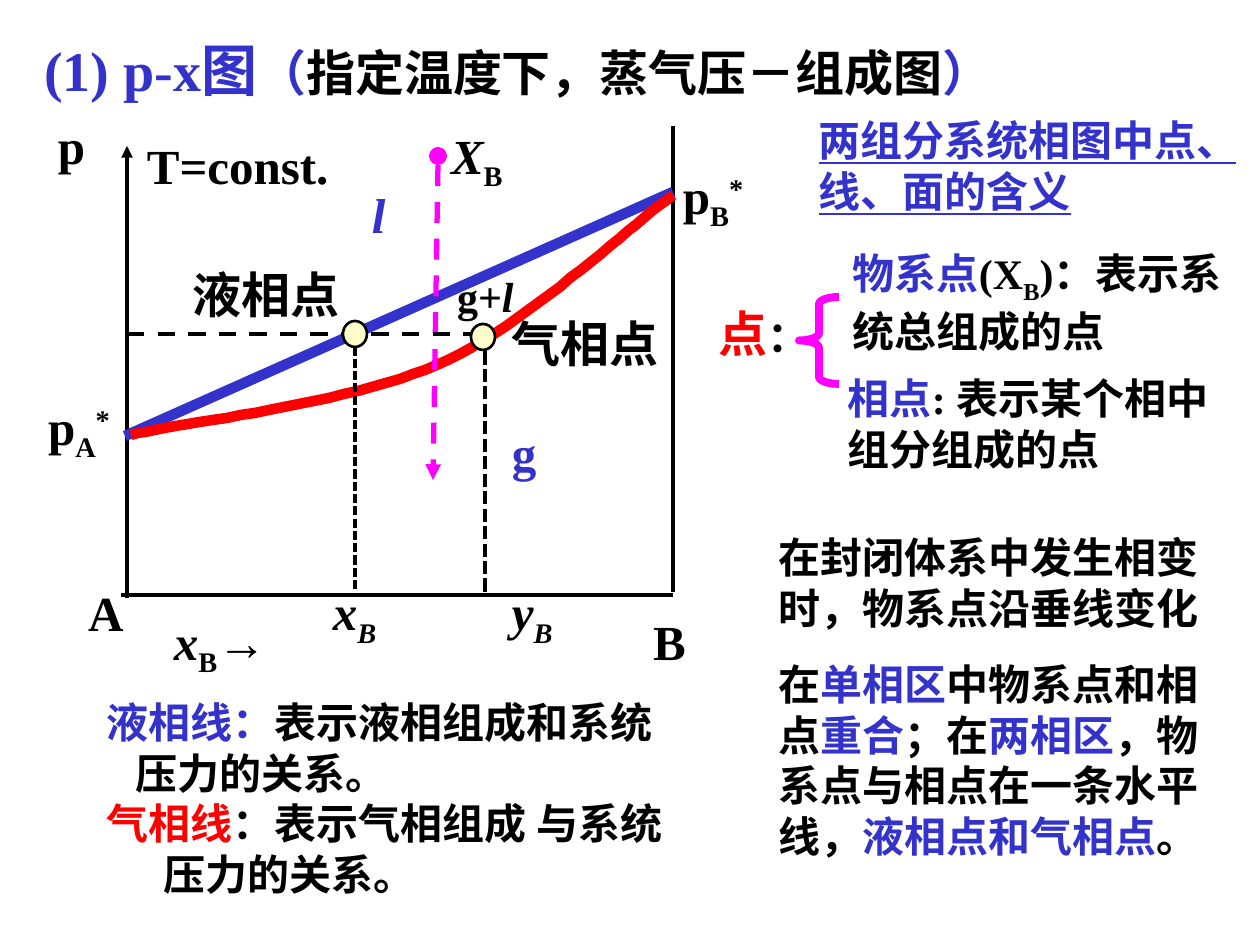
from dataclasses import dataclass

from lxml.etree import SubElement
from pptx import Presentation
from pptx.dml.color import RGBColor
from pptx.enum.dml import MSO_LINE as Dash
from pptx.enum.shapes import MSO_CONNECTOR as Connector, MSO_SHAPE as Preset
from pptx.oxml.ns import qn
from pptx.util import Pt

EMU_PER_PX = 914400 / 126


@dataclass(frozen=True)
class Theme:
    font: str = "Times New Roman"
    black: str = "000000"
    blue: str = "3333CC"
    red: str = "FF0000"
    magenta: str = "FF00FF"
    cream: str = "FFFFCC"
    title: int = 32
    label: int = 28
    body: int = 24


THEME = Theme()


@dataclass(frozen=True)
class Span:
    text: str
    color: str = THEME.black
    size: int = 0
    italic: bool = False
    underline: bool = False
    baseline: int = 0


def px(length):
    return round(length * EMU_PER_PX)


def rgb(color):
    return RGBColor.from_string(color)


def sub(text, italic=False):
    return Span(text, italic=italic, baseline=-25000)


def star():
    return Span("*", baseline=30000)


def blue(text, **style):
    return Span(text, THEME.blue, **style)


def add_spans(para, spans, size):
    for item in spans:
        span = para.add_run()
        span.text = item.text
        font = span.font
        font.name = THEME.font
        font.size = Pt(item.size or size)
        font.bold = True
        font.italic = item.italic
        font.underline = item.underline
        font.color.rgb = rgb(item.color)
        if item.baseline:
            span._r.get_or_add_rPr().set("baseline", str(item.baseline))


def add_text(page, area, *paragraphs, size=THEME.label, gap=0, indents=()):
    """Add a box whose paragraphs are lists of spans; indents are left margins in px."""
    box = page.shapes.add_textbox(*map(px, area))
    frame = box.text_frame
    frame.word_wrap = True
    frame.margin_left = frame.margin_right = frame.margin_top = frame.margin_bottom = 0
    for index, spans in enumerate(paragraphs):
        para = frame.add_paragraph() if index else frame.paragraphs[0]
        if index and gap:
            para.space_before = Pt(gap)
        if indents and indents[index]:
            para._p.get_or_add_pPr().set("marL", str(px(indents[index])))
        add_spans(para, spans, size)


def style_line(line, color, width, dash=None):
    line.color.rgb = rgb(color)
    line.width = Pt(width)
    if dash:
        line.dash_style = dash


def add_line(page, start, end, color=THEME.black, width=2.25, dash=None, arrow=False):
    line = page.shapes.add_connector(Connector.STRAIGHT, *map(px, start + end))
    style_line(line.line, color, width, dash)
    properties = line._element.spPr
    if arrow:
        SubElement(properties.find(qn("a:ln")), qn("a:tailEnd"), type="triangle")
    SubElement(properties, qn("a:effectLst"))


def add_curve(page, points, color, width=6):
    builder = page.shapes.build_freeform(*points[0], scale=EMU_PER_PX)
    builder.add_line_segments(points[1:], close=False)
    curve = builder.convert_to_shape()
    curve.shadow.inherit = False
    curve.fill.background()
    style_line(curve.line, color, width)


def bezier(p0, p1, p2, p3, steps=24):
    """Return points along a cubic curve, leaving out its start."""
    points = []
    for step in range(1, steps + 1):
        t = step / steps
        weights = ((1 - t) ** 3, 3 * t * (1 - t) ** 2, 3 * t * t * (1 - t), t ** 3)
        points.append(tuple(sum(w * p[axis] for w, p in zip(weights, (p0, p1, p2, p3)))
                            for axis in (0, 1)))
    return points


def add_preset(page, preset, area, color, width, fill=None):
    shape = page.shapes.add_shape(preset, *map(px, area))
    shape.shadow.inherit = False
    if fill:
        shape.fill.solid()
        shape.fill.fore_color.rgb = rgb(fill)
    else:
        shape.fill.background()
    style_line(shape.line, color, width)
    return shape


def add_diagram(page):
    left, right, bottom, tie = 127, 673, 595, 334
    add_line(page, (121, bottom), (right, bottom))
    add_line(page, (left, 598), (left, 146), arrow=True)
    add_line(page, (right, 592), (right, 126))

    add_curve(page, [(125, 436), (right, 192)], THEME.blue)
    start, middle, end = (131, 435), (437, 365), (right, 195)
    gas_curve = [start, *bezier(start, (183, 423), (346, 404), middle),
                 *bezier(middle, (527, 325), (624, 231), end)]
    add_curve(page, gas_curve, THEME.red)

    add_line(page, (438, 165), (433, 480), THEME.magenta, 3, Dash.DASH, arrow=True)
    add_line(page, (left, tie), (494, tie), width=2.5, dash=Dash.DASH)
    for x, width in ((355, 1.75), (485, 2.5)):
        add_line(page, (x, tie), (x, 592), width=width, dash=Dash.SQUARE_DOT)
    for x, y in ((343, 321), (471, 324)):
        add_preset(page, Preset.OVAL, (x, y, 24, 26), THEME.black, 1.5, THEME.cream)
    add_preset(page, Preset.OVAL, (433, 151, 10, 10), THEME.magenta, 4.5, THEME.magenta)


def add_diagram_labels(page):
    labels = [
        ((683, 165, 126, 67), [Span("p"), sub("B"), star()]),
        ((48, 396, 106, 67), [Span("p"), sub("A"), star()]),
        ((174, 611, 139, 67), [Span("x", italic=True), sub("B"), Span("→")]),
        ((58, 116, 69, 59), [Span("p")]),
        ((88, 583, 82, 59), [Span("A")]),
        ((653, 612, 82, 59), [Span("B")]),
        ((147, 136, 258, 59), [Span("T=const.")]),
        ((372, 185, 42, 59), [blue("l", italic=True)]),
        ((512, 423, 53, 59), [blue("g")]),
        ((457, 271, 135, 53), [Span("g+", size=THEME.body),
                               Span("l", size=THEME.body, italic=True)]),
        ((512, 314, 165, 59), [Span("气相点")]),
        ((193, 265, 176, 59), [Span("液相点")]),
        ((333, 582, 63, 67), [Span("x", italic=True), sub("B", italic=True)]),
        ((512, 582, 63, 67), [Span("y", italic=True), sub("B", italic=True)]),
        ((451, 125, 79, 67), [Span("X", italic=True), sub("B")]),
    ]
    for area, spans in labels:
        add_text(page, area, spans)


def add_explanations(page):
    body = THEME.body
    add_text(page, (107, 697, 640, 202),
             [blue("液相线："), Span("表示液相组成和系统")],
             [Span("压力的关系。")],
             [Span("气相线", THEME.red), Span("：表示气相组成 与系统")],
             [Span("压力的关系。")],
             size=body, indents=(0, 29, 0, 57))
    add_text(page, (819, 115, 417, 101),
             [blue("两组分系统相图中点、线、面的含义", underline=True)], size=body)
    add_text(page, (719, 304, 72, 59),
             [Span("点", THEME.red), Span("：", size=body)])
    brace = add_preset(page, Preset.LEFT_BRACE, (799, 297, 40, 87), THEME.magenta, 4.5)
    brace.adjustments[0] = 0.18
    add_text(page, (853, 248, 407, 108),
             [blue("物系点"), Span("(X"), sub("B"), Span(")：表示系统总组成的点")], size=body)
    add_text(page, (848, 373, 376, 101),
             [blue("相点"), Span(": 表示某个相中组分组成的点")], size=body)
    add_text(page, (779, 532, 451, 329),
             [Span("在封闭体系中发生相变时，物系点沿垂线变化")],
             [Span("在"), blue("单相区"), Span("中物系点和相点"), blue("重合"),
              Span("；在"), blue("两相区"), Span("，物系点与相点在一条水平线，"),
              blue("液相点和气相点"), Span("。")],
             size=body, gap=15)


def main():
    deck = Presentation()
    deck.slide_width, deck.slide_height = px(1260), px(945)
    page = deck.slides.add_slide(deck.slide_layouts[6])
    add_text(page, (44, 35, 1052, 67),
             [blue("(1) p-x图", size=THEME.title), blue("（"),
              Span("指定温度下，蒸气压－组成图"), blue("）")])
    add_diagram(page)
    add_diagram_labels(page)
    add_explanations(page)
    deck.save("out.pptx")


if __name__ == "__main__":
    main()
